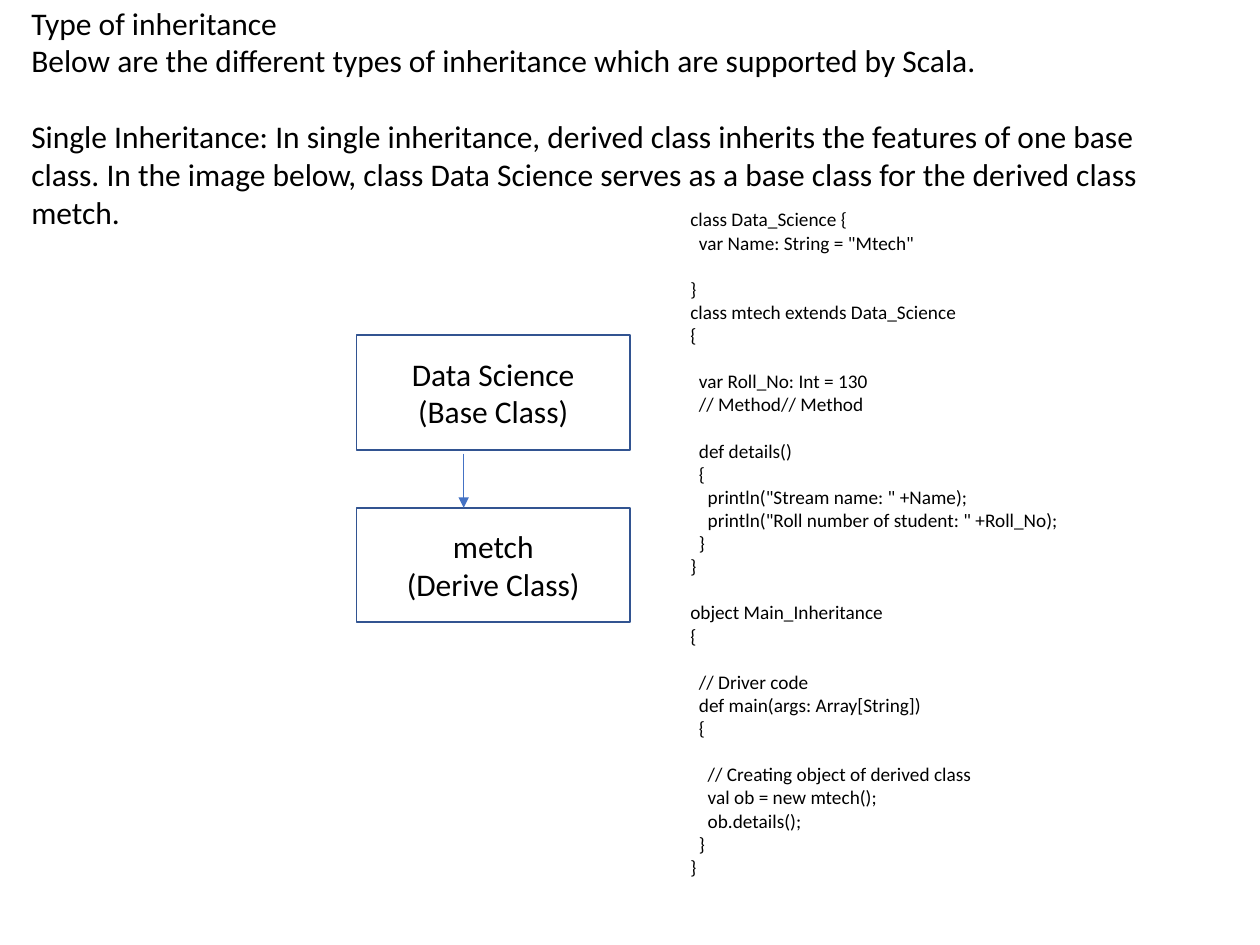
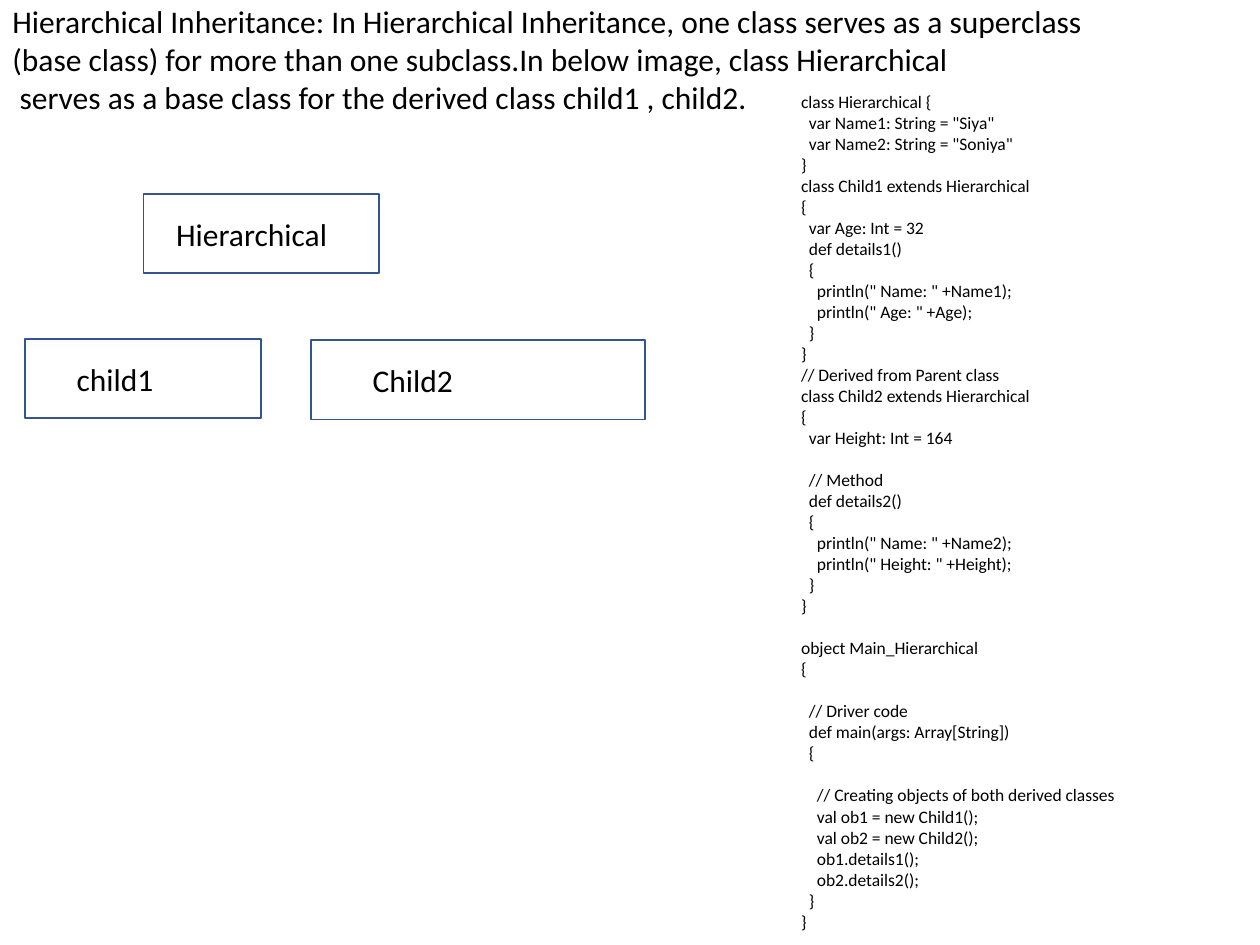
from lxml import etree
from pptx import Presentation
from pptx.dml.color import RGBColor
from pptx.enum.shapes import MSO_CONNECTOR, MSO_SHAPE
from pptx.enum.text import MSO_ANCHOR, MSO_AUTO_SIZE, PP_ALIGN
from pptx.oxml.ns import qn
from pptx.util import Inches, Pt

RECTANGLE = MSO_SHAPE.RECTANGLE
STRAIGHT = MSO_CONNECTOR.STRAIGHT
LEFT, CENTER = PP_ALIGN.LEFT, PP_ALIGN.CENTER
TOP, MIDDLE = MSO_ANCHOR.TOP, MSO_ANCHOR.MIDDLE
GROW = MSO_AUTO_SIZE.SHAPE_TO_FIT_TEXT

COLORS = {"text": "000000", "outline": "325491", "arrow": "4472C4"}
FONT = "Calibri"
BODY_SIZE = 18
LINE_HEIGHT = 1.2
SPACE_WIDTH = 0.226

SINGLE_INTRO = """Type of inheritance
Below are the different types of inheritance which are supported by Scala.

Single Inheritance: In single inheritance, derived class inherits the features of one base class. In the image below, class Data Science serves as a base class for the derived class metch."""

SINGLE_CODE = """class Data_Science {
  var Name: String = "Mtech"

}
class mtech extends Data_Science
{

  var Roll_No: Int = 130
  // Method// Method

  def details()
  {
    println("Stream name: " +Name);
    println("Roll number of student: " +Roll_No);
  }
}

object Main_Inheritance
{

  // Driver code
  def main(args: Array[String])
  {

    // Creating object of derived class
    val ob = new mtech();
    ob.details();
  }
}"""

SINGLE_CLASSES = ["Data Science\n(Base Class)", "metch\n(Derive Class)"]

HIERARCHICAL_INTRO = """Hierarchical Inheritance: In Hierarchical Inheritance, one class serves as a superclass (base class) for more than one subclass.In below image, class Hierarchical
 serves as a base class for the derived class child1 , child2."""

HIERARCHICAL_CODE = """class Hierarchical {
  var Name1: String = "Siya"
  var Name2: String = "Soniya"
}
class Child1 extends Hierarchical
{
  var Age: Int = 32
  def details1()
  {
    println(" Name: " +Name1);
    println(" Age: " +Age);
  }
}
// Derived from Parent class
class Child2 extends Hierarchical
{
  var Height: Int = 164

  // Method
  def details2()
  {
    println(" Name: " +Name2);
    println(" Height: " +Height);
  }
}

object Main_Hierarchical
{

  // Driver code
  def main(args: Array[String])
  {

    // Creating objects of both derived classes
    val ob1 = new Child1();
    val ob2 = new Child2();
    ob1.details1();
    ob2.details2();
  }
}"""

HIERARCHICAL_CLASSES = [
    {"name": "Hierarchical", "box": (1.14, 1.54, 1.87, 0.63), "label_left": 1.3},
    {"name": "child1", "box": (0.2, 2.69, 1.87, 0.63), "label_left": 0.51},
    {"name": "Child2", "box": (2.47, 2.7, 2.65, 0.63), "label_left": 2.86},
]
LABEL_DROP, LABEL_WIDTH, LABEL_HEIGHT = 0.12, 1.56, 0.4


def write_text(shape, text, size=BODY_SIZE, align=LEFT, anchor=TOP):
    frame = shape.text_frame
    frame.word_wrap = True
    frame.vertical_anchor = anchor
    paragraph, gap = None, 0
    for line in text.split("\n"):
        content = line.lstrip()
        if not content:
            gap += size * LINE_HEIGHT
            continue
        paragraph = frame.add_paragraph() if paragraph else frame.paragraphs[0]
        paragraph.alignment = align
        paragraph.space_before = Pt(gap)
        indent = Pt((len(line) - len(content)) * SPACE_WIDTH * size)
        properties = paragraph._p.get_or_add_pPr()
        properties.set("marL", str(int(indent)))
        properties.set("indent", "0")
        run = paragraph.add_run()
        run.text = content
        run.font.name = FONT
        run.font.size = Pt(size)
        run.font.color.rgb = RGBColor.from_string(COLORS["text"])
        gap = 0


def add_text(slide, text, box, **text_format):
    shape = slide.shapes.add_textbox(*map(Inches, box))
    write_text(shape, text, **text_format)
    shape.text_frame.auto_size = GROW


def add_class_box(slide, box):
    shape = slide.shapes.add_shape(RECTANGLE, *map(Inches, box))
    shape.shadow.inherit = False
    shape.fill.background()
    shape.line.color.rgb = RGBColor.from_string(COLORS["outline"])
    shape.line.width = Pt(1)
    return shape


def add_arrow(slide, start, end):
    arrow = slide.shapes.add_connector(STRAIGHT, *map(Inches, start + end))
    arrow.line.color.rgb = RGBColor.from_string(COLORS["arrow"])
    arrow.line.width = Pt(0.5)
    etree.SubElement(arrow.line._get_or_add_ln(), qn("a:tailEnd"), type="triangle")
    etree.SubElement(arrow._element.spPr, qn("a:effectLst"))


def build_single(slide):
    add_text(slide, SINGLE_INTRO, (0.15, -0.02, 9.33, 1.92))
    left, top, width, height, pitch = 2.83, 2.66, 2.17, 0.91, 1.37
    for index, text in enumerate(SINGLE_CLASSES):
        shape = add_class_box(slide, (left, top + index * pitch, width, height))
        write_text(shape, text, align=CENTER, anchor=MIDDLE)
    add_arrow(slide, (3.68, 3.6), (3.68, top + pitch))
    add_text(slide, SINGLE_CODE, (5.38, 1.6, 4.31, 5.47), size=11)


def build_hierarchical(slide):
    add_text(slide, HIERARCHICAL_INTRO, (0, -0.03, 8.89, 1.01))
    for item in HIERARCHICAL_CLASSES:
        add_class_box(slide, item["box"])
        label_top = item["box"][1] + LABEL_DROP
        add_text(slide, item["name"],
                 (item["label_left"], label_top, LABEL_WIDTH, LABEL_HEIGHT))
    add_text(slide, HIERARCHICAL_CODE, (6.26, 0.67, 3.36, 6.83), size=10)


def main():
    presentation = Presentation()
    presentation.slide_width = Inches(10)
    presentation.slide_height = Inches(7.5)
    blank = presentation.slide_layouts[6]
    for build in (build_single, build_hierarchical):
        build(presentation.slides.add_slide(blank))
    presentation.save("out.pptx")


if __name__ == "__main__":
    main()
